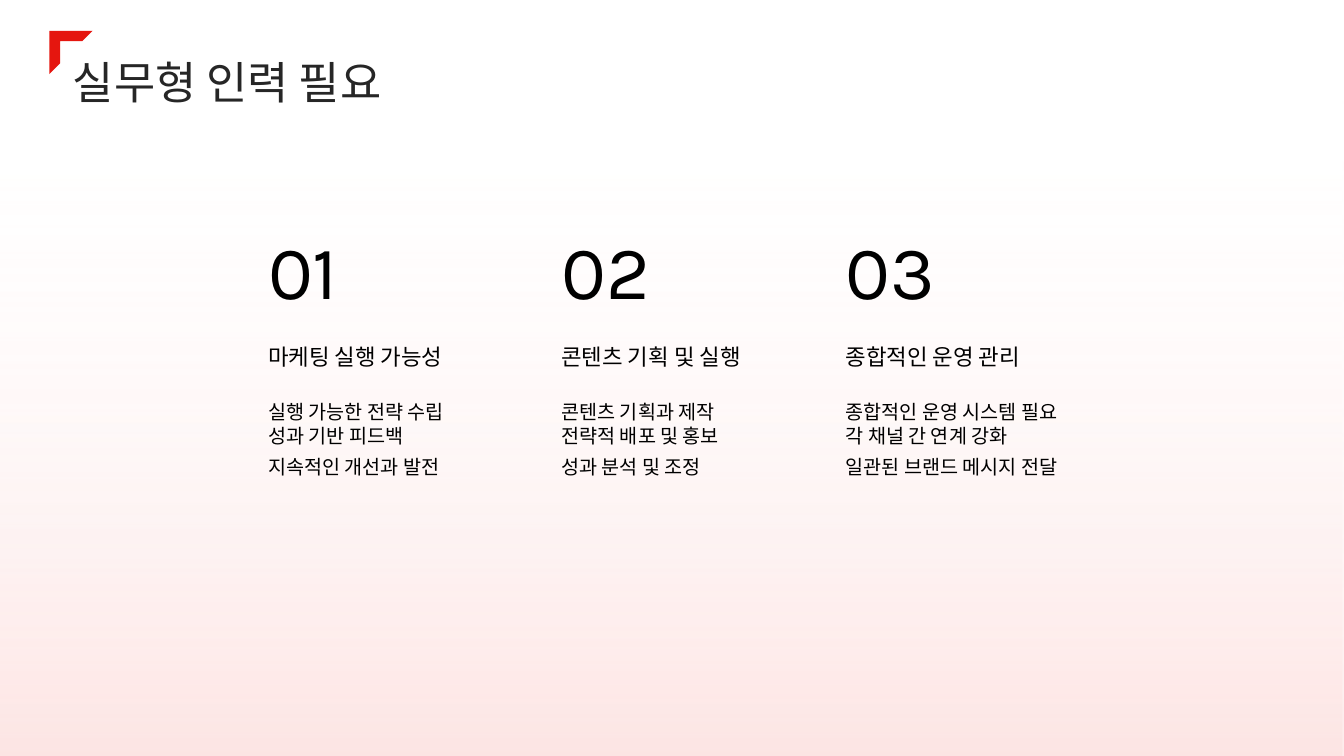
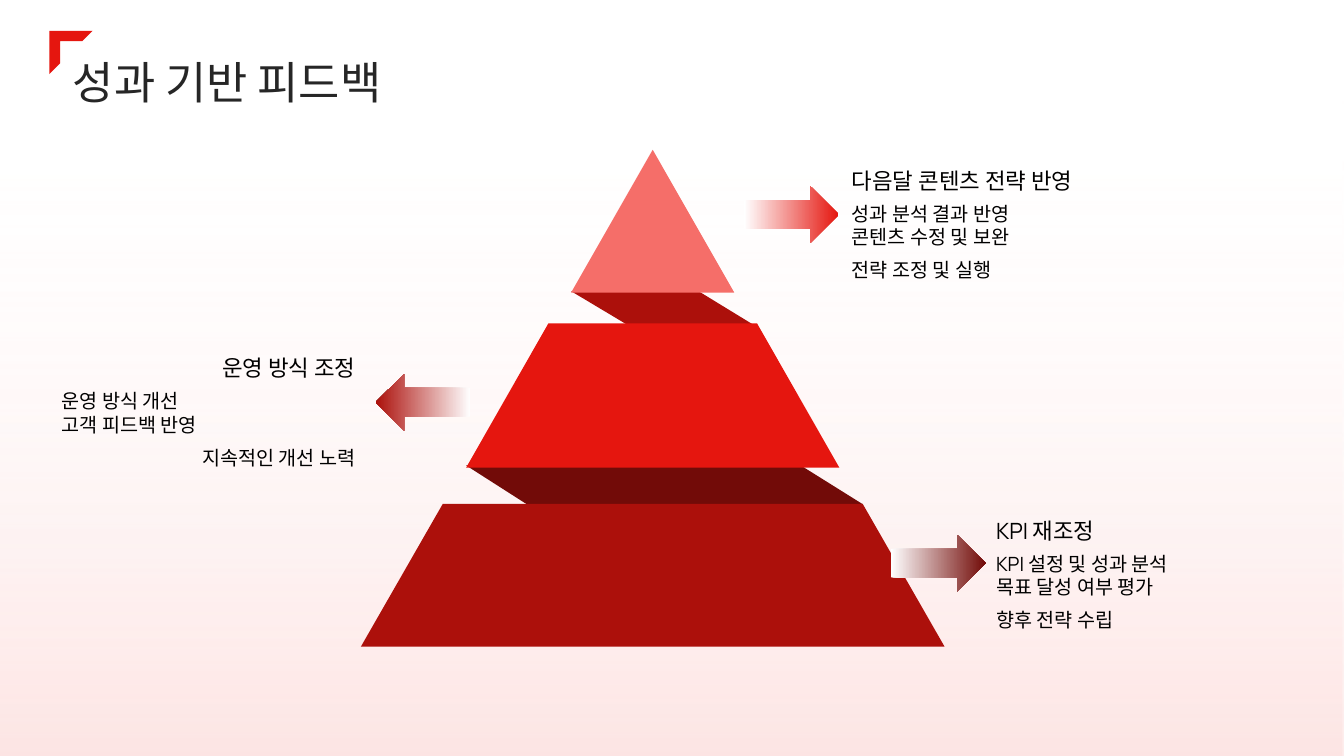
from lxml.etree import SubElement
from pptx import Presentation
from pptx.dml.color import RGBColor
from pptx.enum.shapes import MSO_SHAPE
from pptx.enum.text import MSO_ANCHOR, PP_ALIGN
from pptx.oxml.ns import qn
from pptx.util import Pt

COLORS = {
    "black": "000000", "title": "262626", "white": "FFFFFF", "blush": "FCCFCD",
    "coral": "F56E69", "red": "E5160F", "crimson": "AC100B", "maroon": "720B08",
}
WIDTH, HEIGHT = 960, 540
TEXT_FONT, NUMBER_FONT = "Manrope", "Karla"

NEEDS_TITLE = "실무형 인력 필요"
NEEDS = [
    (191.5, "마케팅 실행 가능성", ["실행 가능한 전략 수립", "성과 기반 피드백", "지속적인 개선과 발전"]),
    (401, "콘텐츠 기획 및 실행", ["콘텐츠 기획과 제작", "전략적 배포 및 홍보", "성과 분석 및 조정"]),
    (604, "종합적인 운영 관리", ["종합적인 운영 시스템 필요", "각 채널 간 연계 강화", "일관된 브랜드 메시지 전달"]),
]

FEEDBACK_TITLE = "성과 기반 피드백"
FEEDBACK = [
    {"heading": "다음달 콘텐츠 전략 반영", "lines": ["성과 분석 결과 반영", "콘텐츠 수정 및 보완", "전략 조정 및 실행"],
     "left": 608.5, "top": 117, "width": 244, "arrow": (531.5, 133), "color": "red", "mirrored": False},
    {"heading": "운영 방식 조정", "lines": ["운영 방식 개선", "고객 피드백 반영", "지속적인 개선 노력"],
     "left": 44, "top": 251, "width": 210, "arrow": (268.5, 267), "color": "crimson", "mirrored": True},
    {"heading": "KPI 재조정", "lines": ["KPI 설정 및 성과 분석", "목표 달성 여부 평가", "향후 전략 수립"],
     "left": 711.5, "top": 367, "width": 206, "arrow": (636.5, 382), "color": "maroon", "mirrored": False},
]
PYRAMID_AXIS = 466.25
PYRAMID_LEVELS = [
    (107, 209, 0, 58.25, "coral"),
    (231, 334, 74.5, 133.25, "red"),
    (360, 462, 150, 208.5, "crimson"),
]
PYRAMID_FOLDS = [
    ([(333, 332.5), (572, 332.5), (616, 360), (376, 360)], "maroon"),
    ([(408, 208), (499, 208), (541.5, 234), (451.5, 234)], "crimson"),
]


def rgb(name):
    return RGBColor.from_string(COLORS[name])


def fill_solid(shape, color):
    shape.shadow.inherit = False
    shape.fill.solid()
    shape.fill.fore_color.rgb = rgb(color)
    shape.line.fill.background()


def fill_gradient(shape, stops, angle):
    shape.shadow.inherit = False
    shape.line.fill.background()
    shape.fill.gradient()
    shape.fill.gradient_angle = angle
    for stop, (position, color, _) in zip(shape.fill.gradient_stops, stops):
        stop.position = position
        stop.color.rgb = rgb(color)
    color_nodes = shape._element.spPr.findall(".//" + qn("a:srgbClr"))
    for node, (_, _, opacity) in zip(color_nodes, stops):
        if opacity < 100:
            SubElement(node, qn("a:alpha")).set("val", str(opacity * 1000))


def add_preset(slide, preset, left, top, width, height):
    return slide.shapes.add_shape(preset, Pt(left), Pt(top), Pt(width), Pt(height))


def add_outline(slide, points, color):
    corners = [(Pt(x), Pt(y)) for x, y in points]
    builder = slide.shapes.build_freeform(*corners[0])
    builder.add_line_segments(corners[1:], close=True)
    fill_solid(builder.convert_to_shape(), color)


def add_text(slide, lines, left, top, width, height, size, font=TEXT_FONT, color="black",
             spacing=None, align=None, anchor=MSO_ANCHOR.TOP):
    box = slide.shapes.add_textbox(Pt(left), Pt(top), Pt(width), Pt(height))
    frame = box.text_frame
    frame.word_wrap = True
    frame.vertical_anchor = anchor
    frame.margin_left = frame.margin_right = frame.margin_top = frame.margin_bottom = 0
    frame.text = "\n".join(lines)
    for paragraph in frame.paragraphs:
        for run in paragraph.runs:
            run.font.size = Pt(size)
            run.font.name = font
            run.font.color.rgb = rgb(color)
    closing = frame.paragraphs[-1]
    if spacing:
        closing.line_spacing = spacing
    if align:
        closing.alignment = align


def add_base_slide(deck):
    slide = deck.slides.add_slide(deck.slide_layouts[6])
    backdrop = add_preset(slide, MSO_SHAPE.RECTANGLE, 0, 0, WIDTH, HEIGHT)
    fill_gradient(backdrop, [(0, "blush", 54), (0.88, "white", 0)], 90)
    return slide


def add_title(slide, title):
    add_text(slide, [title], 52, 38, 855, 37, 32, color="title", spacing=1.1, anchor=MSO_ANCHOR.MIDDLE)
    corner = add_preset(slide, MSO_SHAPE.HALF_FRAME, 35.25, 22, 31, 31)
    corner.adjustments[0], corner.adjustments[1] = 0.24, 0.25
    fill_solid(corner, "red")


def build_needs(deck):
    slide = add_base_slide(deck)
    for number, (left, heading, lines) in enumerate(NEEDS, 1):
        add_text(slide, [f"{number:02}"], left, 160, 109, 65, 54, font=NUMBER_FONT)
        add_text(slide, [heading], left, 245, 172, 42, 16)
        add_text(slide, lines, left, 286, 171, 197, 14, spacing=1.3)
    add_title(slide, NEEDS_TITLE)


def build_feedback(deck):
    slide = add_base_slide(deck)
    for points, color in PYRAMID_FOLDS:
        add_outline(slide, points, color)
    for top, bottom, upper, lower, color in PYRAMID_LEVELS:
        peak = [(PYRAMID_AXIS - upper, top), (PYRAMID_AXIS + upper, top)] if upper else [(PYRAMID_AXIS, top)]
        add_outline(slide, peak + [(PYRAMID_AXIS + lower, bottom), (PYRAMID_AXIS - lower, bottom)], color)
    for item in FEEDBACK:
        arrow = add_preset(slide, MSO_SHAPE.RIGHT_ARROW, *item["arrow"], 67.5, 40.5)
        fill_gradient(arrow, [(0, "white", 100), (1, item["color"], 100)], 0)
        if item["mirrored"]:
            arrow._element.spPr.find(qn("a:xfrm")).set("flipH", "1")
        align = PP_ALIGN.RIGHT if item["mirrored"] else None
        left, top, width = item["left"], item["top"], item["width"]
        add_text(slide, [item["heading"]], left, top, width, 21.5, 16, spacing=1.3, align=align,
                 anchor=MSO_ANCHOR.BOTTOM)
        add_text(slide, item["lines"], left, top + 27, width, 89, 14, spacing=1.4, align=align)
    add_title(slide, FEEDBACK_TITLE)


def main():
    deck = Presentation()
    deck.slide_width, deck.slide_height = Pt(WIDTH), Pt(HEIGHT)
    build_needs(deck)
    build_feedback(deck)
    deck.save("out.pptx")


if __name__ == "__main__":
    main()
